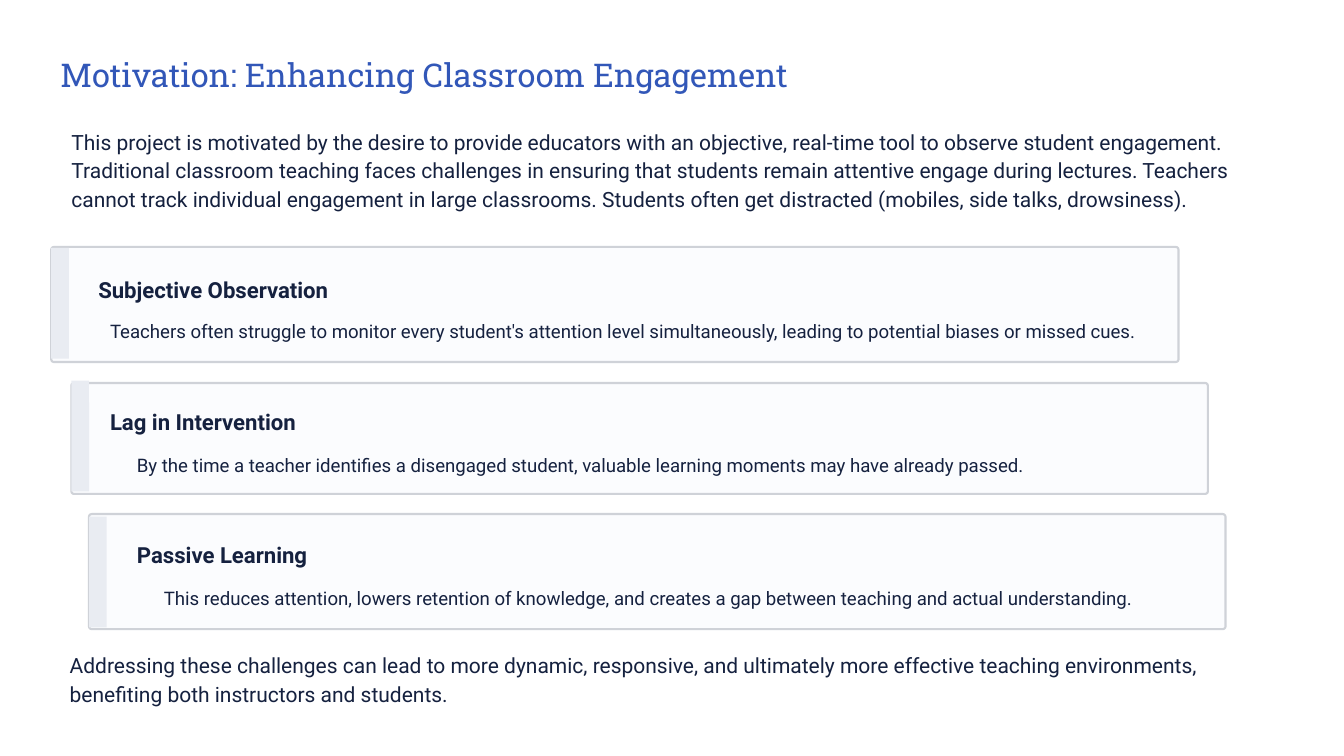
import pptx
import pptx.util
import pptx.dml.color
import pptx.enum.shapes
import pptx.enum.text

Inches = pptx.util.Inches
Pt = pptx.util.Pt
HUES = {"title": "3257B8", "text": "15213F", "card": "FBFCFE", "edge": "CFD2D8", "bar": "E9ECF2"}
STYLES = {
    "title": ({"name": "Roboto Slab", "size": Pt(28), "bold": False}, 48),
    "body": ({"name": "Roboto", "size": Pt(18), "bold": False}, 24.5),
    "head": ({"name": "Roboto", "size": Pt(19), "bold": True}, 30.5),
    "note": ({"name": "Roboto", "size": Pt(16), "bold": False}, 24.5),
}
FRAME = {
    "margin_left": 0, "margin_top": 0, "margin_right": 0, "margin_bottom": 0,
    "word_wrap": True,
    "auto_size": pptx.enum.text.MSO_AUTO_SIZE.NONE,
    "vertical_anchor": pptx.enum.text.MSO_ANCHOR.TOP,
}


def write(box, text, style, hue="text"):
    frame = box.text_frame
    for key, value in FRAME.items():
        setattr(frame, key, value)
    frame.text = text
    line = frame.paragraphs[0]
    font, pitch = STYLES[style]
    line.alignment = pptx.enum.text.PP_ALIGN.LEFT
    line.line_spacing = Pt(pitch)
    line.space_before = Pt(0)
    for key, value in font.items():
        setattr(line.font, key, value)
    line.font.color.rgb = pptx.dml.color.RGBColor.from_string(HUES[hue])


def panel(area, round, fill, edge=None):
    shape = slide.shapes.add_shape(
        pptx.enum.shapes.MSO_SHAPE.ROUNDED_RECTANGLE, *map(Inches, area))
    shape.adjustments[0] = round
    shape.shadow.inherit = False
    shape.fill.solid()
    shape.fill.fore_color.rgb = pptx.dml.color.RGBColor.from_string(HUES[fill])
    if edge:
        shape.line.color.rgb = pptx.dml.color.RGBColor.from_string(HUES[edge])
        shape.line.width = Pt(1.8)
    else:
        shape.line.fill.background()


deck = pptx.Presentation()
deck.slide_width = Inches(16)
deck.slide_height = Inches(9)
slide = deck.slides.add_slide(deck.slide_layouts[5])

title = slide.shapes.title
place = {"left": 0.72, "top": 0.45, "width": 11.89, "height": 0.67}
for key, value in place.items():
    setattr(title, key, Inches(value))
write(title, "Motivation: Enhancing Classroom Engagement", "title", "title")

texts = [
    (0.85, 1.5, 14.29, 1.02, "body", "This project is motivated by the desire to provide educators with an objective, real-time tool to observe student engagement. Traditional classroom teaching faces challenges in ensuring that students remain attentive engage during lectures. Teachers cannot track individual engagement in large classrooms. Students often get distracted (mobiles, side talks, drowsiness)."),
    (0.83, 7.73, 14.29, 0.68, "body", "Addressing these challenges can lead to more dynamic, responsive, and ultimately more effective teaching environments, benefiting both instructors and students."),
]
cards = [
    ((0.61, 2.94, 13.42, 1.37), 2.95, 1.17, 3.18, 1.31, 3.74, "Subjective Observation",
     "Teachers often struggle to monitor every student's attention level simultaneously, leading to potential biases or missed cues."),
    ((0.85, 4.56, 13.53, 1.32), 4.53, 1.31, 4.76, 1.63, 5.33, "Lag in Intervention",
     "By the time a teacher identifies a disengaged student, valuable learning moments may have already passed."),
    ((1.06, 6.12, 13.53, 1.37), 6.15, 1.63, 6.34, 1.95, 6.91, "Passive Learning",
     "This reduces attention, lowers retention of knowledge, and creates a gap between teaching and actual understanding."),
]
for area, bar, left, top, inset, base, head, note in cards:
    panel(area, 0.023, "card", "edge")
    panel((area[0], bar, 0.21, 1.32), 0.01, "bar")
    texts.append((left, top, 13.18, 0.43, "head", head))
    texts.append((inset, base, 13.18, 0.34, "note", note))

for left, top, width, height, style, text in texts:
    box = slide.shapes.add_textbox(*map(Inches, (left, top, width, height)))
    write(box, text, style)

deck.save("out.pptx")
